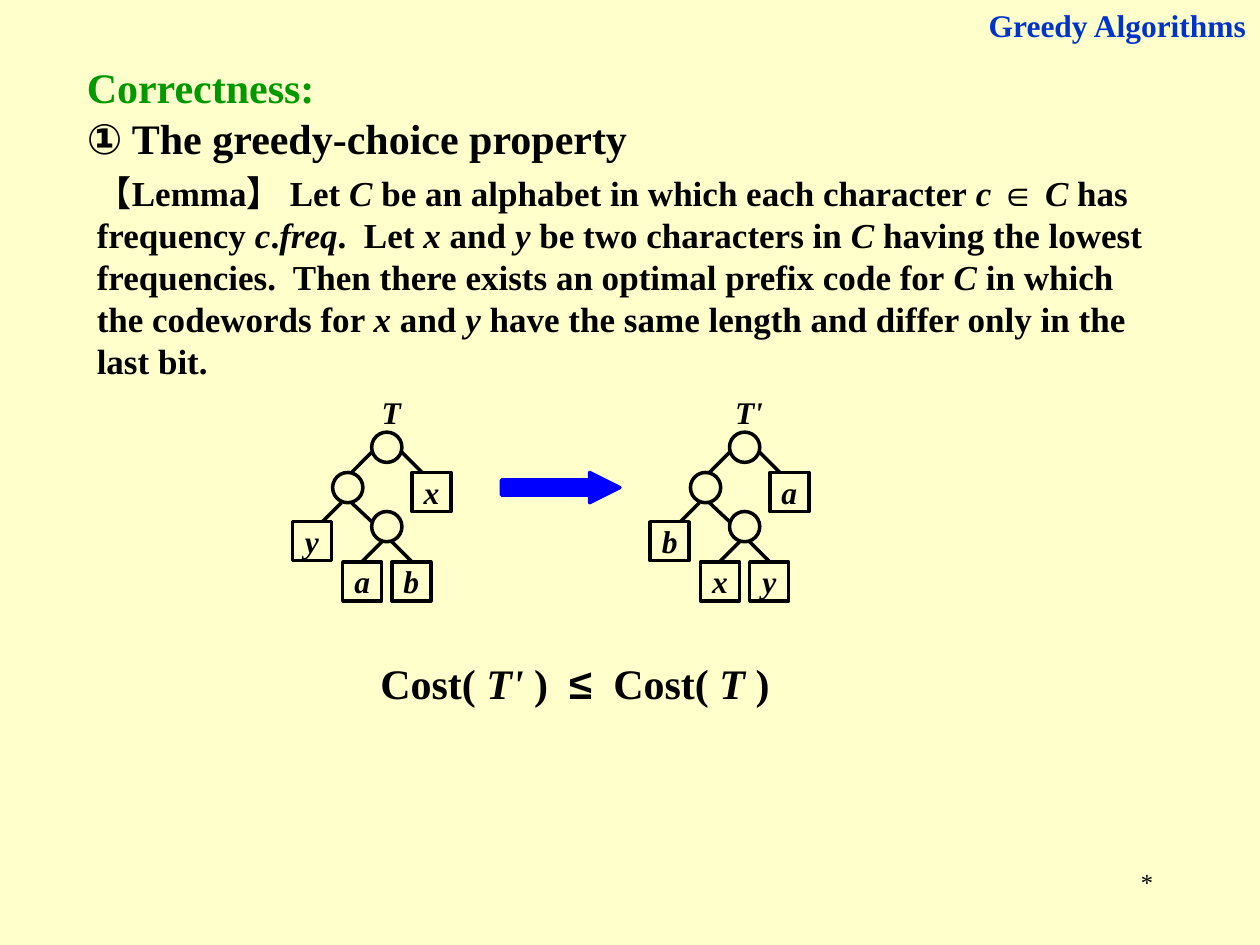
from dataclasses import dataclass

from lxml import etree
from pptx import Presentation
from pptx import util as u
from pptx.dml.color import RGBColor
from pptx.enum import shapes, text
from pptx.oxml import ns

I = u.Inches


@dataclass(frozen=True)
class Theme:
    paper: str = "FFFFCC"
    ink: str = "000000"
    topic: str = "0033CC"
    heading: str = "009900"
    arrow: str = "0000FF"
    serif: str = "Times New Roman"
    symbol: str = "Arial"
    cjk: str = "Noto Sans CJK SC"
    small: int = 14
    label: int = 18
    body: int = 20
    large: int = 24
    stroke: float = 2


T = Theme()
LEFT, CENTER, RIGHT = (text.PP_ALIGN.LEFT, text.PP_ALIGN.CENTER,
                       text.PP_ALIGN.RIGHT)
MARGINS = (0.1, 0.05, 0.1, 0.05)
TIGHT = (0.02, 0, 0.02, 0.01)


def rgb(value):
    return RGBColor.from_string(value)


def set_frame(tf, margins=MARGINS):
    tf.word_wrap = True
    tf.auto_size = text.MSO_AUTO_SIZE.NONE
    tf.vertical_anchor = text.MSO_ANCHOR.TOP
    (tf.margin_left, tf.margin_top,
     tf.margin_right, tf.margin_bottom) = map(I, margins)


def write(p, pieces, size, color=T.ink, align=LEFT, bold=True):
    """Each piece is (wording, italic) or (wording, italic, font)."""
    p.alignment = align
    for wording, italic, *font in pieces:
        r = p.add_run()
        r.text = wording
        f = r.font
        f.size, f.bold, f.italic = u.Pt(size), bold, italic
        f.color.rgb = rgb(color)
        f.name = font[0] if font else T.serif
        ea = etree.SubElement(r._r.get_or_add_rPr(), ns.qn("a:ea"))
        ea.set("typeface", f.name)


def add_text(parent, box, pieces, size, margins=MARGINS, **style):
    sp = parent.add_textbox(*map(I, box))
    set_frame(sp.text_frame, margins)
    write(sp.text_frame.paragraphs[0], pieces, size, **style)
    return sp


def outlined(parent, kind, box, color=T.ink):
    sp = parent.add_shape(kind, *map(I, box))
    sp.shadow.inherit = False
    sp.fill.background()
    sp.line.color.rgb = rgb(color)
    sp.line.width = u.Pt(T.stroke)
    return sp


def topic_title(slide, box):
    sp = slide.shapes.title
    sp.left, sp.top, sp.width, sp.height = map(I, box)
    set_frame(sp.text_frame)
    write(sp.text_frame.paragraphs[0], [("Greedy Algorithms", False)],
          T.label, T.topic, RIGHT)


def heading(slide, box):
    sp = add_text(slide.shapes, box, [("Correctness:", False)],
                  T.large, color=T.heading)
    write(sp.text_frame.add_paragraph(),
          [("①", False, T.symbol), (" The greedy-choice property", False)],
          T.large)


def lemma(slide, box):
    add_text(slide.shapes, box, [
        ("【", False, T.cjk), ("Lemma", False), ("】 ", False, T.cjk),
        ("Let ", False), ("C", True),
        (" be an alphabet in which each character ", False), ("c ", True),
        ("∈ ", False, T.symbol), ("C", True),
        (" has frequency ", False), ("c", True), (".", False),
        ("freq", True), (".  Let ", False), ("x", True),
        (" and ", False), ("y", True),
        (" be two characters in ", False), ("C", True),
        (" having the lowest frequencies.  Then there exists an optimal "
         "prefix code for ", False), ("C", True),
        (" in which the codewords for ", False), ("x", True),
        (" and ", False), ("y", True),
        (" have the same length and differ only in the last bit.", False),
    ], T.body)


# Tree geometry, relative to the tree's top left corner
NODE, LEAF = 0.24, 0.31
NODES = [(0.63, 0.31), (0.32, 0.63), (0.63, 0.94)]
LEAVES = [(0, 1.02), (0.95, 0.63), (0.4, 1.34), (0.79, 1.34)]
EDGES = [(0.63, 0.47, 0.47, 0.63), (0.87, 0.47, 1.03, 0.63),
         (0.39, 0.87, 0.24, 1.02), (0.47, 0.87, 0.63, 1.02),
         (0.71, 1.18, 0.55, 1.34), (0.79, 1.18, 0.95, 1.34)]


def tree(slide, left, top, name, letters):
    group = slide.shapes.add_group_shape().shapes
    for x, y in NODES:
        outlined(group, shapes.MSO_SHAPE.OVAL,
                 (left + x, top + y, NODE, NODE))
    for x1, y1, x2, y2 in EDGES:
        c = group.add_connector(
            shapes.MSO_CONNECTOR.STRAIGHT, I(left + x1), I(top + y1),
            I(left + x2), I(top + y2))
        c.line.color.rgb = rgb(T.ink)
        c.line.width = u.Pt(T.stroke)
        etree.SubElement(c._element.spPr, ns.qn("a:effectLst"))
    for (x, y), letter in zip(LEAVES, letters):
        sp = outlined(group, shapes.MSO_SHAPE.RECTANGLE,
                      (left + x, top + y, LEAF, LEAF))
        set_frame(sp.text_frame, TIGHT)
        write(sp.text_frame.paragraphs[0], [(letter, True)], T.label,
              align=CENTER)
    add_text(group, (left + 0.55, top, 0.47, LEAF), [(name, True)],
             T.label, TIGHT, align=CENTER)


def exchange_arrow(slide, box):
    sp = outlined(slide.shapes, shapes.MSO_SHAPE.RIGHT_ARROW, box, T.arrow)
    sp.adjustments[0], sp.adjustments[1] = 0.5, 1
    sp.fill.solid()
    sp.fill.fore_color.rgb = rgb(T.arrow)


def cost_claim(slide, box):
    add_text(slide.shapes, box, [
        ("Cost( ", False), ("T'", True), (" )  ", False),
        ("≤", False, T.symbol), ("  Cost( ", False), ("T ", True),
        (") ", False)], T.large, align=CENTER)


def main():
    prs = Presentation()
    prs.slide_width, prs.slide_height = I(10), I(7.5)
    slide = prs.slides.add_slide(prs.slide_layouts[5])
    slide.background.fill.solid()
    slide.background.fill.fore_color.rgb = rgb(T.paper)

    # Wording at the top
    topic_title(slide, (7.52, 0, 2.47, 0.4))
    heading(slide, (0.59, 0.44, 8.25, 0.9))
    lemma(slide, (0.67, 1.31, 8.5, 1.77))

    # Leaves exchanged between the two trees
    tree(slide, 2.32, 3.12, "T", "yxab")
    exchange_arrow(slide, (3.98, 3.75, 0.94, 0.24))
    tree(slide, 5.16, 3.12, "T'", "baxy")

    # Conclusion and page mark
    cost_claim(slide, (2.87, 5.17, 3.47, 0.5))
    add_text(slide.shapes, (7.17, 6.83, 2.08, 0.5), [("*", False)],
             T.small, align=RIGHT, bold=False)
    prs.save("out.pptx")


if __name__ == "__main__":
    main()
